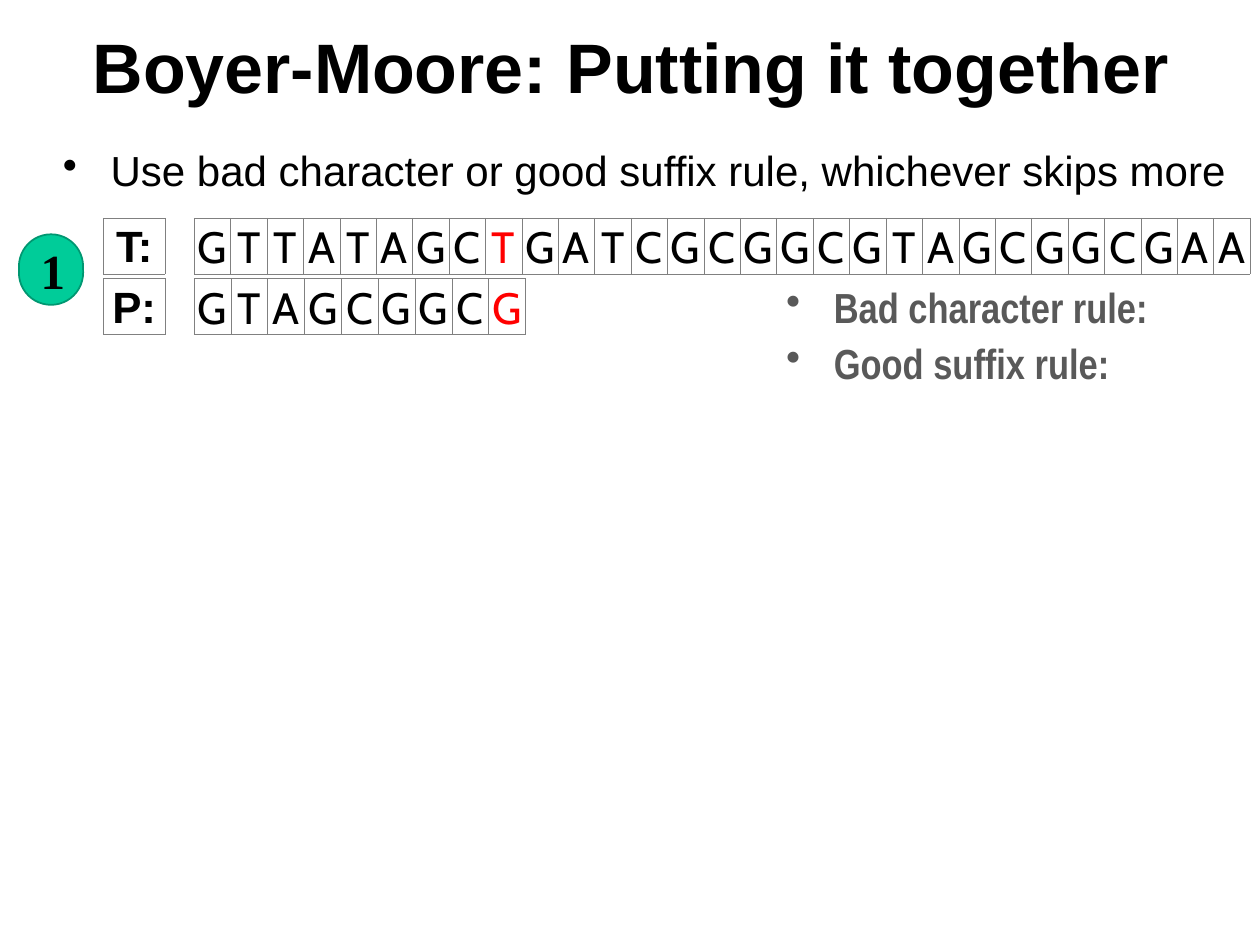
import pptx
import pptx.util
import pptx.dml.color
import pptx.enum.shapes
import pptx.enum.text
import pptx.oxml
import pptx.oxml.ns

COLORS = {"ink": "000000", "mismatch": "FF0000", "rule": "595959",
          "border": "808080", "badge": "00CC99", "badge_line": "009771"}
CENTER = pptx.enum.text.PP_ALIGN.CENTER
MIDDLE = pptx.enum.text.MSO_ANCHOR.MIDDLE

deck = pptx.Presentation()
deck.slide_width = pptx.util.Inches(10)
deck.slide_height = pptx.util.Inches(7.5)
page = deck.slides.add_slide(deck.slide_layouts[6])

# Grid of 100 columns by 75 rows
UNIT = deck.slide_width / 100


def place(*cells):
    return [round(cell * UNIT) for cell in cells]


def write(para, text, color, **font_values):
    span = para.add_run()
    span.text = text
    span.font.color.rgb = pptx.dml.color.RGBColor.from_string(COLORS[color])
    for name, value in font_values.items():
        setattr(span.font, name, value)


# Title
box = page.shapes.add_textbox(*place(4.1, 0.2, 91.9, 10))
box.text_frame.word_wrap = True
box.text_frame.vertical_anchor = MIDDLE
para = box.text_frame.paragraphs[0]
para.alignment = CENTER
write(para, "Boyer-Moore: Putting it together", "ink",
      name="Arial", size=pptx.util.Pt(40), bold=True)

# Bulleted lines
bullets = [
    ("Use bad character or good suffix rule, whichever skips more",
     (4, 10.6, 95.4, 7.9), "ink", "Arial", False),
    ("Bad character rule:", (61.4, 21.4, 31.3, 4.8), "rule", "Arial Narrow", True),
    ("Good suffix rule:", (61.4, 25.9, 31.3, 4.8), "rule", "Arial Narrow", True),
]
for text, area, color, font_name, bold in bullets:
    box = page.shapes.add_textbox(*place(*area))
    box.text_frame.word_wrap = True
    box.text_frame.margin_top = pptx.util.Inches(0.09)
    para = box.text_frame.paragraphs[0]
    properties = para._p.get_or_add_pPr()
    properties.set("marL", str(pptx.util.Inches(0.38)))
    properties.set("indent", str(pptx.util.Inches(-0.38)))
    properties.append(pptx.oxml.parse_xml(
        f'<a:buChar {pptx.oxml.ns.nsdecls("a")} char="•"/>'))
    write(para, text, color, name=font_name, size=pptx.util.Pt(24), bold=bold)

# Text and pattern strips with their labels
MISMATCH = 8
strips = [
    (list("GTTATAGCTGATCGCGGCGTAGCGGCGAA"), (15.4, 17.3, 83.9, 4.1), "Cabin", False),
    (list("GTAGCGGCG"), (15.4, 22.1, 26.3, 4.1), "Cabin", False),
    (["T:"], (8.2, 17.3, 4.9, 4.1), "Arial", True),
    (["P:"], (8.2, 22.1, 4.9, 4.1), "Arial", True),
]
cell_format = {"margin_left": 0, "margin_right": 0, "margin_top": 0,
               "margin_bottom": 0, "vertical_anchor": MIDDLE}
para_format = {"alignment": CENTER, "line_spacing": 1.07,
               "space_after": pptx.util.Pt(8)}
for letters, area, font_name, bold in strips:
    table = page.shapes.add_table(1, len(letters), *place(*area)).table
    table.first_row = table.horz_banding = False
    for index, letter in enumerate(letters):
        cell = table.cell(0, index)
        for name, value in cell_format.items():
            setattr(cell, name, value)
        for side in ("lnL", "lnR", "lnT", "lnB"):
            cell._tc.get_or_add_tcPr().append(pptx.oxml.parse_xml(
                f'<a:{side} {pptx.oxml.ns.nsdecls("a")} w="{pptx.util.Pt(0.25)}">'
                f'<a:solidFill><a:srgbClr val="{COLORS["border"]}"/></a:solidFill>'
                f'</a:{side}>'))
        cell.fill.background()
        para = cell.text_frame.paragraphs[0]
        for name, value in para_format.items():
            setattr(para, name, value)
        write(para, letter, "mismatch" if index == MISMATCH else "ink",
              name=font_name, size=pptx.util.Pt(25), bold=bold)

# Step badge
badge = page.shapes.add_shape(pptx.enum.shapes.MSO_SHAPE.ROUNDED_RECTANGLE,
                              *place(1.5, 18.6, 5.1, 5.6))
badge.adjustments[0] = 0.5
badge.shadow.inherit = False
badge.fill.solid()
badge.fill.fore_color.rgb = pptx.dml.color.RGBColor.from_string(COLORS["badge"])
badge.line.color.rgb = pptx.dml.color.RGBColor.from_string(COLORS["badge_line"])
badge.line.width = pptx.util.Pt(1)
badge.text_frame.vertical_anchor = MIDDLE
para = badge.text_frame.paragraphs[0]
para.alignment = CENTER
write(para, "1", "ink", name="Times New Roman", size=pptx.util.Pt(28), bold=True)

deck.save("out.pptx")
